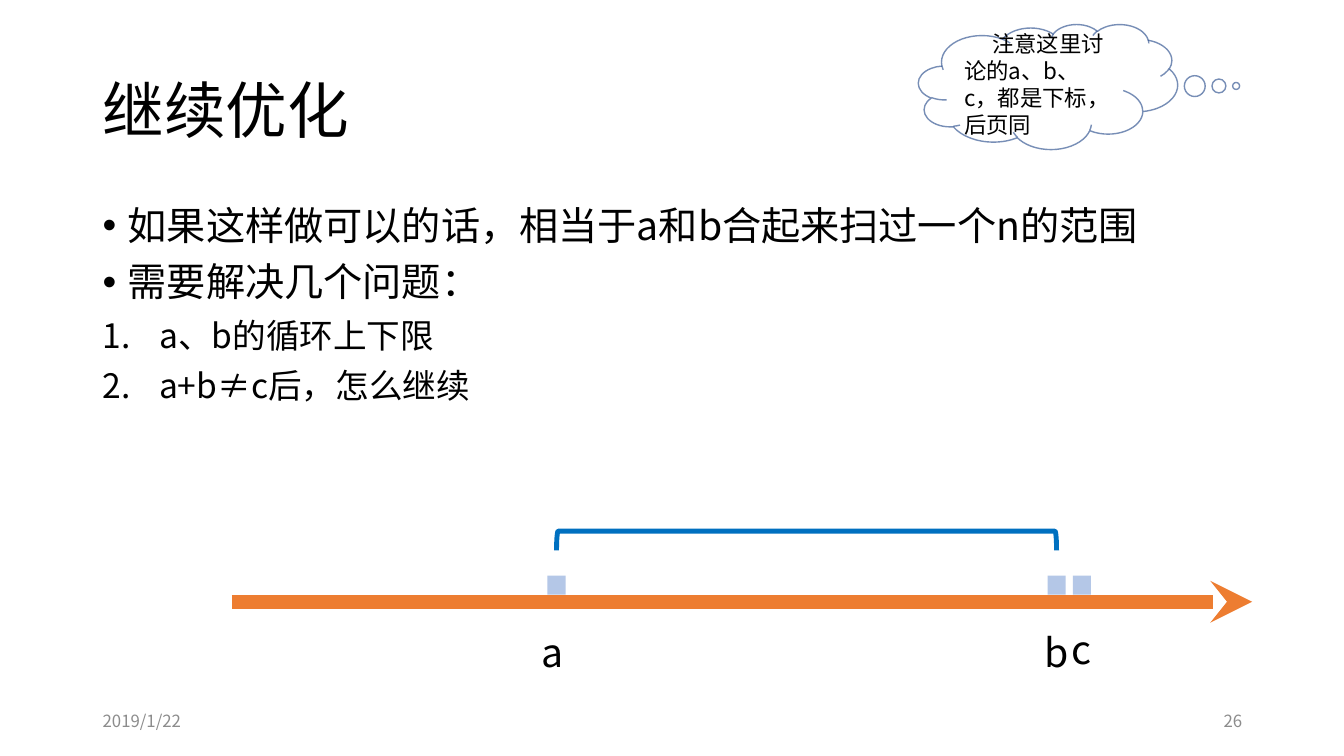
"""Build the slide on sweeping a and b together across a range of n."""
from lxml.etree import SubElement
from pptx import Presentation
from pptx.dml.color import RGBColor
from pptx.enum.shapes import MSO_CONNECTOR, MSO_SHAPE
from pptx.enum.text import MSO_ANCHOR, MSO_AUTO_SIZE, PP_ALIGN
from pptx.oxml.ns import qn
from pptx.util import Inches, Pt

TITLE = "继续优化"
DATE, PAGE = "2019/1/22", "26"
THOUGHT = "注意这里讨论的a、b、c，都是下标，后页同"
POINTS = ["如果这样做可以的话，相当于a和b合起来扫过一个n的范围", "需要解决几个问题："]
QUESTIONS = ["a、b的循环上下限", "a+b≠c后，怎么继续"]
MARKS = {"a": 5.52, "b": 10.48, "c": 10.73}
LABEL_BOXES = {"a": (5.27, 6.18, 0.4), "b": (10.26, 6.18, 0.43), "c": (10.53, 6.15, 0.38)}

FONT = "Noto Sans CJK SC"
BLACK = RGBColor(0x00, 0x00, 0x00)
GRAY = RGBColor(0x8C, 0x8C, 0x8C)
ORANGE = RGBColor(0xED, 0x7D, 0x31)
PALE_BLUE = RGBColor(0xB4, 0xC7, 0xE7)
BLUE = RGBColor(0x00, 0x70, 0xC0)
CLOUD_BLUE = RGBColor(0x32, 0x54, 0x91)

MARGIN, CONTENT_WIDTH = 0.92, 11.5
FOOTER_TOP, FOOTER_WIDTH = 6.95, 3
AXIS_Y, AXIS_START, AXIS_END = 5.97, 2.3, 12.42
MARK_TOP, MARK_WIDTH, MARK_HEIGHT = 5.71, 0.18, 0.19
BRACKET_DEPTH, BRACKET_MIDDLE = 0.19, 5.365

deck = Presentation()
deck.slide_width, deck.slide_height = Inches(13.33), Inches(7.5)
slide = deck.slides.add_slide(deck.slide_layouts[6])


def style(paragraph, size, color=BLACK):
    for run in paragraph.runs:
        run.font.name, run.font.size, run.font.color.rgb = FONT, Pt(size), color
        SubElement(run.font._element, qn("a:ea"), typeface=FONT)


def add_text(text, left, top, width, height, size, color=BLACK, align=PP_ALIGN.LEFT,
             anchor=MSO_ANCHOR.MIDDLE, wrap=True):
    box = slide.shapes.add_textbox(Inches(left), Inches(top), Inches(width), Inches(height))
    frame = box.text_frame
    frame.word_wrap, frame.vertical_anchor = wrap, anchor
    frame.text = text
    for paragraph in frame.paragraphs:
        paragraph.alignment = align
        style(paragraph, size, color)
    return frame


def add_plain_shape(kind, left, top, width, height):
    shape = slide.shapes.add_shape(kind, Inches(left), Inches(top), Inches(width), Inches(height))
    shape.shadow.inherit = False
    return shape


def add_body():
    frame = add_text("\n".join(POINTS + QUESTIONS), MARGIN, 2, CONTENT_WIDTH, 4.76, 28,
                     anchor=MSO_ANCHOR.TOP)
    for index, paragraph in enumerate(frame.paragraphs):
        numbered = index >= len(POINTS)
        indent = Inches(0.56 if numbered else 0.25)
        paragraph.line_spacing, paragraph.space_before = 0.9, Pt(10)
        properties = paragraph._p.get_or_add_pPr()
        properties.set("marL", str(indent))
        properties.set("indent", str(-indent))
        if numbered:
            SubElement(properties, qn("a:buFont"), typeface="+mj-lt")
            SubElement(properties, qn("a:buAutoNum"), type="arabicPeriod")
            for run in paragraph.runs:
                run.font.size = Pt(24)
        else:
            SubElement(properties, qn("a:buFont"), typeface="Arial")
            SubElement(properties, qn("a:buChar"), char="•")


def add_axis():
    axis = slide.shapes.add_connector(MSO_CONNECTOR.STRAIGHT, Inches(AXIS_START), Inches(AXIS_Y),
                                      Inches(AXIS_END), Inches(AXIS_Y))
    axis.line.color.rgb, axis.line.width = ORANGE, Pt(10)
    SubElement(axis.line._get_or_add_ln(), qn("a:tailEnd"), type="stealth")
    SubElement(axis._element.spPr, qn("a:effectLst"))
    for letter, center in MARKS.items():
        mark = add_plain_shape(MSO_SHAPE.RECTANGLE, center - MARK_WIDTH / 2, MARK_TOP,
                               MARK_WIDTH, MARK_HEIGHT)
        mark.fill.solid()
        mark.fill.fore_color.rgb = PALE_BLUE
        mark.line.fill.background()
        left, top, width = LABEL_BOXES[letter]
        label = add_text(letter, left, top, width, 0.57, 28, anchor=MSO_ANCHOR.TOP, wrap=False)
        label.auto_size = MSO_AUTO_SIZE.SHAPE_TO_FIT_TEXT


def add_bracket():
    span = MARKS["b"] - MARKS["a"]
    middle = (MARKS["a"] + MARKS["b"]) / 2
    bracket = add_plain_shape(MSO_SHAPE.RIGHT_BRACKET, middle - BRACKET_DEPTH / 2,
                              BRACKET_MIDDLE - span / 2, BRACKET_DEPTH, span)
    bracket.rotation = 270
    bracket.fill.background()
    bracket.line.color.rgb, bracket.line.width = BLUE, Pt(3.5)


def add_cloud():
    cloud = add_plain_shape(MSO_SHAPE.CLOUD_CALLOUT, 9.11, 0.24, 2.57, 1.24)
    cloud.adjustments[0], cloud.adjustments[1] = 0.726, -0.006
    cloud.fill.background()
    cloud.line.color.rgb, cloud.line.width = CLOUD_BLUE, Pt(1)
    line_color = cloud.line._get_or_add_ln().find(".//" + qn("a:srgbClr"))
    SubElement(line_color, qn("a:alpha"), val="65000")
    frame = cloud.text_frame
    frame.word_wrap, frame.vertical_anchor = True, MSO_ANCHOR.MIDDLE
    frame.text = THOUGHT
    note = frame.paragraphs[0]
    note.alignment = PP_ALIGN.LEFT
    note._p.get_or_add_pPr().set("indent", str(Inches(0.28)))
    style(note, 16)


title = add_text(TITLE, MARGIN, 0.4, CONTENT_WIDTH, 1.45, 44)
title.paragraphs[0].line_spacing = 0.9
add_text(DATE, MARGIN, FOOTER_TOP, FOOTER_WIDTH, 0.4, 12, GRAY)
add_text(PAGE, MARGIN + CONTENT_WIDTH - FOOTER_WIDTH, FOOTER_TOP, FOOTER_WIDTH, 0.4, 12, GRAY,
         PP_ALIGN.RIGHT)
add_body()
add_axis()
add_bracket()
add_cloud()
deck.save("out.pptx")
